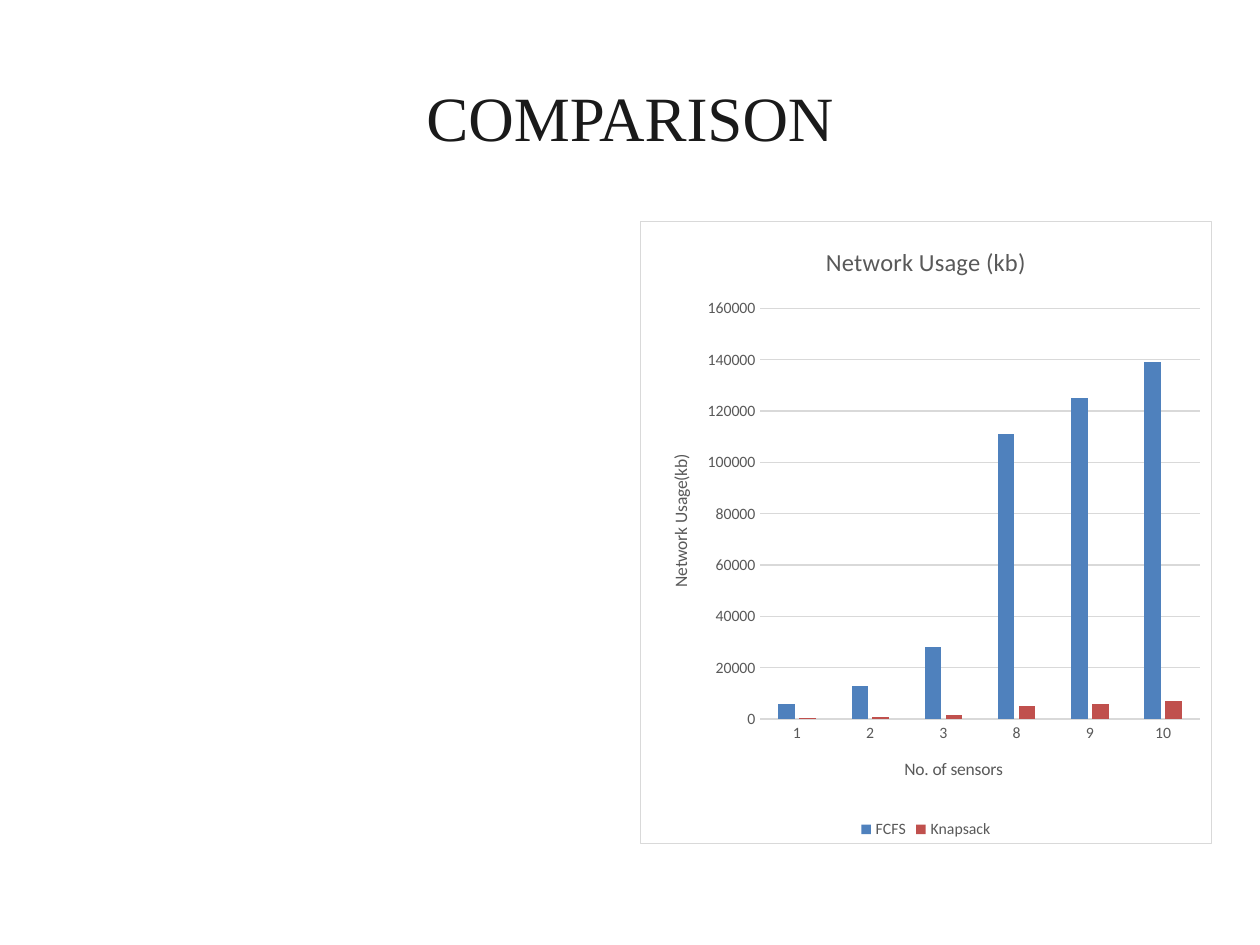
from lxml import etree
from pptx import Presentation
from pptx import util as u
from pptx.chart import data as cd
from pptx.dml import color as dml
from pptx.enum import chart as ce, text
from pptx.oxml import ns, parse_xml


def rgb(value):
    return dml.RGBColor.from_string(value)


class Deck:
    heading_font, chart_font = "Times New Roman", "Calibri"
    ink, label, rule = "1A1A1A", "595959", "D9D9D9"

    def __init__(self, width, height):
        self.prs = Presentation()
        self.prs.slide_width, self.prs.slide_height = u.Cm(width), u.Cm(height)
        self.slide = self.prs.slides.add_slide(self.prs.slide_layouts[6])

    def style(self, font, name, size, color):
        font.name, font.size, font.bold = name, u.Pt(size), False
        font.color.rgb = rgb(color)

    def outline(self, line):
        line.color.rgb = rgb(self.rule)
        line.width = u.Pt(0.75)

    def heading(self, words, *box):
        frame = self.slide.shapes.add_textbox(*map(u.Cm, box)).text_frame
        frame.word_wrap = True
        frame.vertical_anchor = text.MSO_ANCHOR.MIDDLE
        line = frame.paragraphs[0]
        line.text = words
        line.alignment = text.PP_ALIGN.CENTER
        self.style(line.font, self.heading_font, 36, self.ink)

    def caption(self, owner, words, size):
        line = owner.text_frame.paragraphs[0]
        line.text = words
        self.style(line.font, self.chart_font, size, self.label)

    def axis(self, axis, title):
        axis.major_tick_mark = axis.minor_tick_mark = ce.XL_TICK_MARK.NONE
        self.style(axis.tick_labels.font, self.chart_font, 9, self.label)
        self.caption(axis.axis_title, title, 10)

    def place_plot(self, chart, **portions):
        area = chart._chartSpace.find(".//" + ns.qn("c:plotArea"))
        for old in area.findall(ns.qn("c:layout")):
            area.remove(old)
        layout = etree.Element(ns.qn("c:layout"))
        manual = etree.SubElement(layout, ns.qn("c:manualLayout"))
        settings = dict(layoutTarget="inner", xMode="edge", yMode="edge", **portions)
        for tag, value in settings.items():
            etree.SubElement(manual, ns.qn("c:" + tag)).set("val", str(value))
        area.insert(0, layout)

    def frame_chart(self, chart):
        chart._chartSpace.find(ns.qn("c:chart")).addnext(parse_xml(
            f'<c:spPr {ns.nsdecls("c", "a")}>'
            '<a:solidFill><a:srgbClr val="FFFFFF"/></a:solidFill>'
            f'<a:ln w="{u.Pt(0.75)}"><a:solidFill><a:srgbClr val="{self.rule}"/>'
            '</a:solidFill></a:ln></c:spPr>'))

    def column_chart(self, title, x_title, y_title, categories, series, *box):
        values = cd.CategoryChartData()
        values.categories = categories
        for name, (numbers, _) in series.items():
            values.add_series(name, numbers)
        chart = self.slide.shapes.add_chart(
            ce.XL_CHART_TYPE.COLUMN_CLUSTERED, *map(u.Cm, box), values).chart
        self.style(chart.font, self.chart_font, 10, "000000")
        self.caption(chart.chart_title, title, 14)
        self.axis(chart.category_axis, x_title)
        self.axis(chart.value_axis, y_title)
        self.outline(chart.category_axis.format.line)
        chart.value_axis.format.line.fill.background()
        self.outline(chart.value_axis.major_gridlines.format.line)
        turn = chart.value_axis.axis_title.text_frame._txBody.bodyPr
        turn.set("rot", "-5400000")
        turn.set("vert", "horz")
        chart.has_legend = True
        chart.legend.position = ce.XL_LEGEND_POSITION.BOTTOM
        chart.legend.include_in_layout = False
        self.style(chart.legend.font, self.chart_font, 9, self.label)
        plot = chart.plots[0]
        plot.gap_width, plot.overlap, plot.vary_by_categories = 219, -27, False
        for bars, (_, color) in zip(plot.series, series.values()):
            bars.format.fill.solid()
            bars.format.fill.fore_color.rgb = rgb(color)
            bars.invert_if_negative = False
        self.place_plot(chart, x=0.21, y=0.14, w=0.77, h=0.66)
        self.frame_chart(chart)


def main():
    deck = Deck(25.4, 19.05)
    deck.heading("COMPARISON", 1.27, 0.76, 22.86, 3.18)
    usage = {
        "FCFS": ([6000, 13000, 28000, 111000, 125000, 139000], "4F81BD"),
        "Knapsack": ([500, 1000, 1500, 5000, 6000, 7000], "C0504D"),
    }
    deck.column_chart(
        "Network Usage (kb)", "No. of sensors", "Network Usage(kb)",
        ["1", "2", "3", "8", "9", "10"], usage, 12.9, 4.45, 11.53, 12.57)
    deck.prs.save("out.pptx")


if __name__ == "__main__":
    main()
